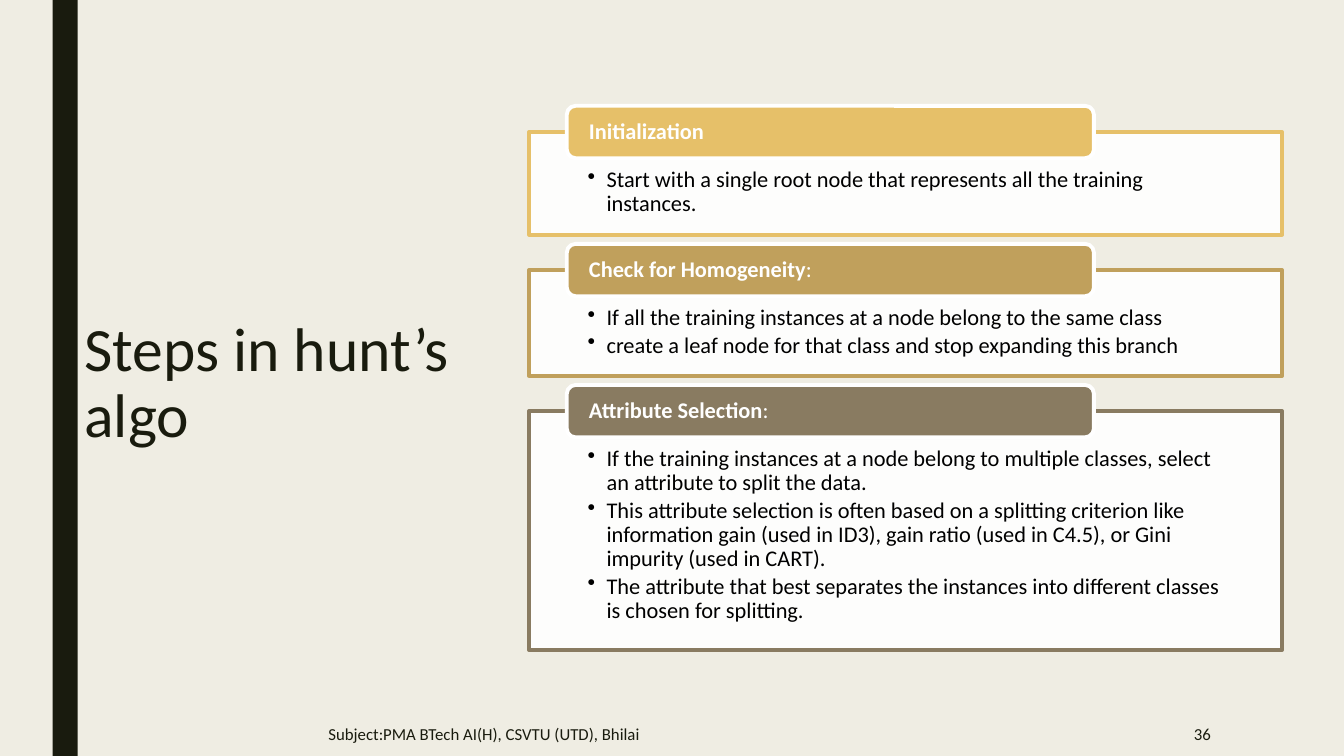
from lxml import etree
from pptx import Presentation
from pptx.dml.color import RGBColor
from pptx.enum.shapes import MSO_SHAPE
from pptx.enum.text import MSO_ANCHOR, PP_ALIGN
from pptx.oxml.ns import qn
from pptx.util import Pt

RECT, ROUND = MSO_SHAPE.RECTANGLE, MSO_SHAPE.ROUNDED_RECTANGLE
TOP, MIDDLE = MSO_ANCHOR.TOP, MSO_ANCHOR.MIDDLE
LEFT, RIGHT = PP_ALIGN.LEFT, PP_ALIGN.RIGHT
FONT = "Calibri"
COLORS = {
    "paper": "EFEDE3", "ink": "191B0E", "white": "FFFFFF", "black": "000000",
    "gold": "E6C069", "ochre": "C0A05C", "umber": "897B61",
}
STEPS = [
    ("Initialization", "", "gold", 73.4, [
        "Start with a single root node that represents all the training instances.",
    ]),
    ("Check for Homogeneity", ":", "ochre", 75.6, [
        "If all the training instances at a node belong to the same class",
        "create a leaf node for that class and stop expanding this branch",
    ]),
    ("Attribute Selection", ":", "umber", 170.6, [
        "If the training instances at a node belong to multiple classes, "
        "select an attribute to split the data.",
        "This attribute selection is often based on a splitting criterion like "
        "information gain (used in ID3), gain ratio (used in C4.5), "
        "or Gini impurity (used in CART).",
        "The attribute that best separates the instances into different "
        "classes is chosen for splitting.",
    ]),
]
FIRST, GAP = 94.3, 25.2


def color(name):
    """Return the named colour."""
    return RGBColor.from_string(COLORS[name])


def style(font, size, name, bold=False):
    """Set the look of a font."""
    font.name, font.size, font.bold = FONT, Pt(size), bold
    font.color.rgb = color(name)


def frame(shape, anchor, pads):
    """Set up wrapping, anchor and insets, and return the text frame."""
    text = shape.text_frame
    text.word_wrap = True
    text.vertical_anchor = anchor
    text.margin_left, text.margin_top, text.margin_right, text.margin_bottom = map(Pt, pads)
    return text


def block(slide, kind, box, fill, line=None):
    """Add a filled shape, with an outline if a line colour is given."""
    shape = slide.shapes.add_shape(kind, *map(Pt, box))
    shape.shadow.inherit = False
    shape.fill.solid()
    shape.fill.fore_color.rgb = color(fill)
    if line:
        shape.line.color.rgb = color(line)
        shape.line.width = Pt(2.75)
    else:
        shape.line.fill.background()
    return shape


def label(slide, box, words, size, align=LEFT, pitch=1.0):
    """Add a plain text box, centred by height."""
    shape = slide.shapes.add_textbox(*map(Pt, box))
    text = frame(shape, MIDDLE, (7.2, 3.6, 7.2, 3.6))
    text.text = words
    para = text.paragraphs[0]
    para.alignment, para.line_spacing = align, pitch
    style(para.runs[0].font, size, "ink")


def bullet(para, words):
    """Write one bulleted line."""
    para.text = words
    para.alignment, para.line_spacing, para.space_after = LEFT, 0.9, Pt(2.4)
    props = para._p.get_or_add_pPr()
    props.set("marL", str(Pt(13.5)))
    props.set("indent", str(-Pt(13.5)))
    etree.SubElement(props, qn("a:buChar"), char="•")
    style(para.runs[0].font, 16, "black")


def panel(slide, top, high, tint, items):
    """Add an outlined panel with its bullets."""
    shape = block(slide, RECT, (378, top, 537.8, high), "white", tint)
    solid = shape.fill._xPr.find(qn("a:solidFill"))
    etree.SubElement(solid[0], qn("a:alpha"), val="90000")
    text = frame(shape, TOP, (41.8, 25.9, 41.8, 8.6))
    for num, item in enumerate(items):
        bullet(text.add_paragraph() if num else text.paragraphs[0], item)


def tab(slide, top, head, tail, tint):
    """Add the rounded heading on a panel's top edge."""
    shape = block(slide, ROUND, (404.9, top - 18.7, 376.5, 37.4), tint, "white")
    text = frame(shape, MIDDLE, (14, 0, 14, 0))
    text.text = head
    para = text.paragraphs[0]
    para.alignment, para.line_spacing = LEFT, 0.9
    style(para.runs[0].font, 16, "white", True)
    if tail:
        run = para.add_run()
        run.text = tail
        style(run.font, 16, "white")


def main():
    """Build the slide and save it."""
    deck = Presentation()
    deck.slide_width, deck.slide_height = Pt(960), Pt(540)
    slide = deck.slides.add_slide(deck.slide_layouts[6])
    slide.background.fill.solid()
    slide.background.fill.fore_color.rgb = color("paper")
    block(slide, RECT, (37.5, 0, 18, 540), "ink")
    label(slide, (53.3, 77, 280, 396), "Steps in hunt’s algo", 44, pitch=0.89)
    top = FIRST
    for head, tail, tint, high, items in STEPS:
        panel(slide, top, high, tint, items)
        tab(slide, top, head, tail, tint)
        top += high + GAP
    label(slide, (227.5, 508.5, 494.6, 31.5),
          "Subject:PMA BTech AI(H), CSVTU (UTD), Bhilai", 12)
    label(slide, (746, 508.5, 126, 31.5), "36", 12, RIGHT)
    deck.save("out.pptx")


if __name__ == "__main__":
    main()
